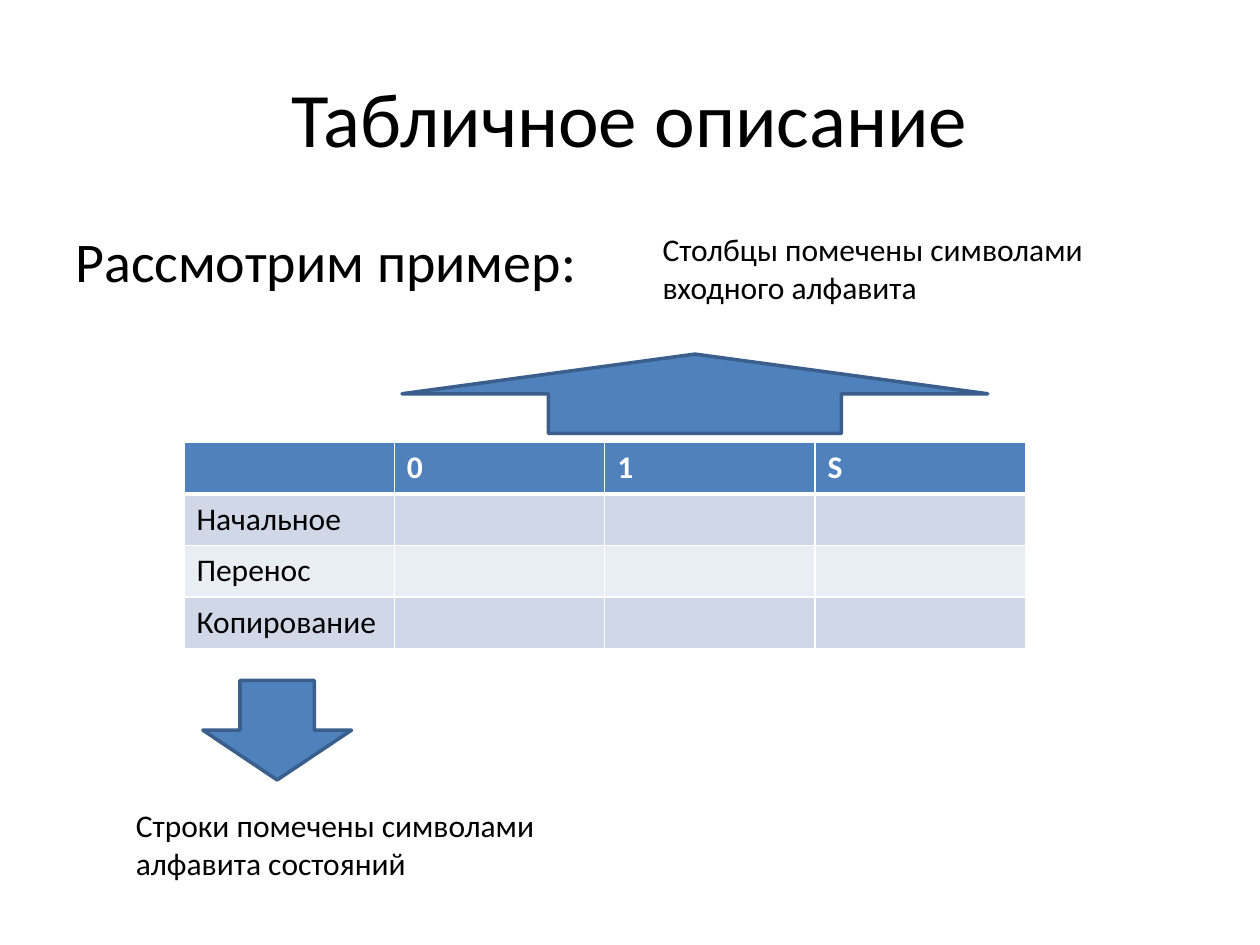
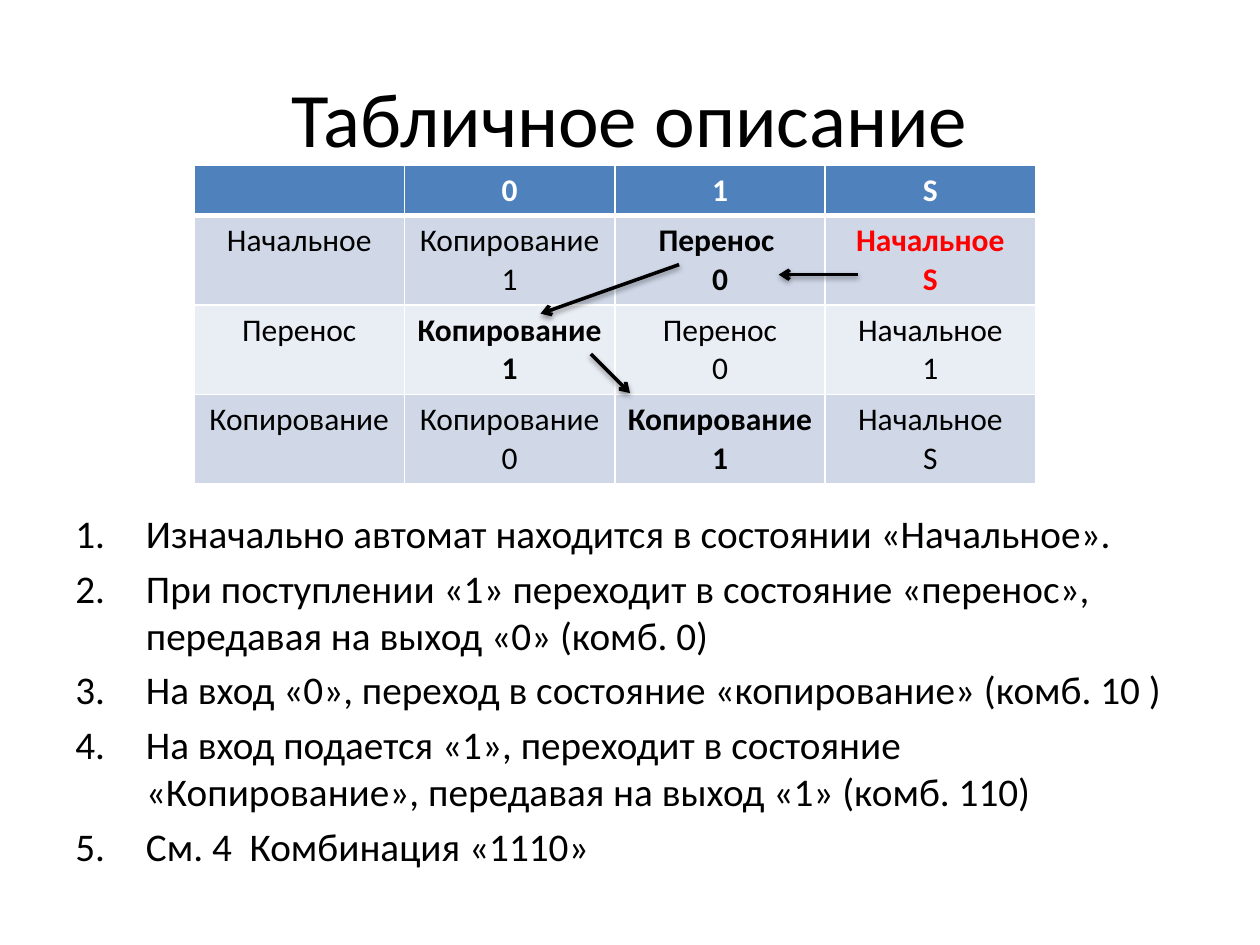
from dataclasses import dataclass

from lxml import etree
from pptx import Presentation
from pptx.dml.color import RGBColor
from pptx.enum.shapes import MSO_CONNECTOR, MSO_SHAPE
from pptx.enum.text import MSO_ANCHOR, MSO_AUTO_SIZE, PP_ALIGN
from pptx.oxml.ns import qn
from pptx.util import Inches, Pt

LEFT, CENTER = PP_ALIGN.LEFT, PP_ALIGN.CENTER
MIDDLE = MSO_ANCHOR.MIDDLE
FIT_SHAPE = MSO_AUTO_SIZE.SHAPE_TO_FIT_TEXT
DOWN_ARROW = MSO_SHAPE.DOWN_ARROW
STRAIGHT = MSO_CONNECTOR.STRAIGHT
TITLE_ONLY = 5


@dataclass(frozen=True)
class Theme:
    font: str = "Calibri"
    text: str = "000000"
    inverse: str = "FFFFFF"
    background: str = "FFFFFF"
    accent: str = "4F81BD"
    accent_line: str = "3A5F8C"
    bands: tuple = ("D0D8E8", "E9EDF4")
    border: str = "FFFFFF"
    highlight: str = "FF0000"
    title_size: float = 44
    body_size: float = 32
    list_size: float = 22.4
    small_size: float = 18
    border_width: float = 1
    header_border_width: float = 3
    line_width: float = 2


def color(value):
    return RGBColor.from_string(value)


def add_child(parent, tag, **attributes):
    child = etree.SubElement(parent, qn(tag))
    for name, value in attributes.items():
        child.set(name, str(value))
    return child


class Deck:
    def __init__(self, theme):
        self.theme = theme
        self.presentation = Presentation()
        self.presentation.slide_width = Inches(10)
        self.presentation.slide_height = Inches(7.5)
        self.slide = None

    def add_slide(self, title):
        layout = self.presentation.slide_layouts[TITLE_ONLY]
        self.slide = self.presentation.slides.add_slide(layout)
        fill = self.slide.background.fill
        fill.solid()
        fill.fore_color.rgb = color(self.theme.background)
        shape = self.slide.shapes.title
        shape.left, shape.top = Inches(0.5), Inches(0.3)
        shape.width, shape.height = Inches(9), Inches(1.25)
        shape.text_frame.vertical_anchor = MIDDLE
        self.fill_text(shape.text_frame, [title], self.theme.title_size, align=CENTER)

    def fill_text(self, frame, lines, size, text_color=None, bold=False, align=LEFT):
        for index, line in enumerate(lines):
            paragraph = frame.paragraphs[0] if index == 0 else frame.add_paragraph()
            paragraph.alignment = align
            run = paragraph.add_run()
            run.text = line
            run.font.name = self.theme.font
            run.font.size = Pt(size)
            run.font.bold = bold
            run.font.color.rgb = color(text_color or self.theme.text)

    def add_text(self, left, top, width, height, lines, size):
        shape = self.slide.shapes.add_textbox(
            Inches(left), Inches(top), Inches(width), Inches(height))
        shape.text_frame.word_wrap = True
        self.fill_text(shape.text_frame, lines, size)
        return shape.text_frame

    def add_caption(self, left, top, width, text):
        frame = self.add_text(left, top, width, 0.71, [text], self.theme.small_size)
        frame.auto_size = FIT_SHAPE

    def add_body(self, top, height, lines, size, indent, numbered=False):
        frame = self.add_text(0.5, top, 9, height, lines, size)
        for paragraph in frame.paragraphs:
            paragraph.space_before = Pt(size * 0.2)
            properties = paragraph._p.get_or_add_pPr()
            properties.set("marL", str(Inches(indent)))
            properties.set("indent", str(-Inches(indent)))
            if numbered:
                add_child(properties, "a:buFont", typeface="+mj-lt")
                add_child(properties, "a:buAutoNum", type="arabicPeriod")

    def add_block_arrow(self, left, top, width, height, rotation=0):
        shape = self.slide.shapes.add_shape(
            DOWN_ARROW, Inches(left), Inches(top), Inches(width), Inches(height))
        shape.rotation = rotation
        shape.shadow.inherit = False
        shape.fill.solid()
        shape.fill.fore_color.rgb = color(self.theme.accent)
        shape.line.color.rgb = color(self.theme.accent_line)
        shape.line.width = Pt(self.theme.line_width)

    def add_table(self, left, top, column_width, row_heights, rows, align=LEFT, emphasis=None):
        emphasis = emphasis or {}
        columns = len(rows[0])
        table = self.slide.shapes.add_table(
            len(rows), columns, Inches(left), Inches(top),
            Inches(column_width * columns), Inches(sum(row_heights))).table
        for column in table.columns:
            column.width = Inches(column_width)
        for row_index, (row, height) in enumerate(zip(rows, row_heights)):
            table.rows[row_index].height = Inches(height)
            for column_index, text in enumerate(row):
                cell = table.cell(row_index, column_index)
                self.style_cell(cell, row_index)
                if text:
                    header = row_index == 0
                    marked = emphasis.get((row_index, column_index))
                    text_color = self.theme.inverse if header else marked
                    self.fill_text(cell.text_frame, text.split("\n"), self.theme.small_size,
                                   text_color, header or marked is not None, align)

    def style_cell(self, cell, row_index):
        theme = self.theme
        cell.fill.solid()
        fill = theme.accent if row_index == 0 else theme.bands[(row_index - 1) % 2]
        cell.fill.fore_color.rgb = color(fill)
        widths = dict.fromkeys("LRTB", theme.border_width)
        if row_index < 2:
            widths["B" if row_index == 0 else "T"] = theme.header_border_width
        properties = cell._tc.get_or_add_tcPr()
        for position, (side, width) in enumerate(widths.items()):
            line = add_child(properties, f"a:ln{side}", w=Pt(width))
            solid = add_child(line, "a:solidFill")
            add_child(solid, "a:srgbClr", val=theme.border)
            properties.insert(position, line)

    def add_arrow(self, start, end):
        connector = self.slide.shapes.add_connector(
            STRAIGHT, *(Inches(value) for value in (*start, *end)))
        connector.line.color.rgb = color(self.theme.text)
        connector.line.width = Pt(self.theme.line_width)
        add_child(connector.line._get_or_add_ln(), "a:tailEnd", type="arrow")
        effects = add_child(connector._element.spPr, "a:effectLst")
        shadow = add_child(effects, "a:outerShdw", blurRad=Pt(3.1), dist=Pt(1.6),
                           dir=90 * 60000, rotWithShape=0)
        shade = add_child(shadow, "a:srgbClr", val=self.theme.text)
        add_child(shade, "a:alpha", val=38000)


def main():
    theme = Theme()
    deck = Deck(theme)
    title = "Табличное описание"
    header = ["", "0", "1", "S"]
    states = ["Начальное", "Перенос", "Копирование"]

    deck.add_slide(title)
    deck.add_body(1.75, 4.95, ["Рассмотрим пример:"], theme.body_size, 0.38)
    empty_rows = [[state, "", "", ""] for state in states]
    deck.add_table(1.46, 3.51, 1.67, [0.41] * 4, [header, *empty_rows])
    deck.add_block_arrow(1.61, 5.4, 1.18, 0.79)
    deck.add_block_arrow(3.19, 2.81, 4.65, 0.63, rotation=180)
    deck.add_caption(0.98, 6.35, 3.54, "Строки помечены символами алфавита состояний")
    deck.add_caption(5.16, 1.78, 4.02, "Столбцы помечены символами входного алфавита")

    deck.add_slide(title)
    deck.add_body(3.99, 2.71, [
        "Изначально автомат находится в состоянии «Начальное».",
        "При поступлении «1» переходит в состояние «перенос», передавая на выход «0» (комб. 0)",
        "На вход «0», переход в состояние «копирование» (комб. 10 )",
        "На вход подается «1», переходит в состояние «Копирование», передавая на выход «1» (комб. 110)",
        "См. 4  Комбинация «1110»",
    ], theme.list_size, 0.56, numbered=True)
    transitions = [
        ["Копирование\n1", "Перенос \n0", "Начальное\nS"],
        ["Копирование\n1", "Перенос\n0", "Начальное\n1"],
        ["Копирование\n0", "Копирование\n1", "Начальное\nS"],
    ]
    filled_rows = [[state, *cells] for state, cells in zip(states, transitions)]
    visited_cells = {(1, 2): theme.text, (1, 3): theme.highlight,
                     (2, 1): theme.text, (3, 2): theme.text}
    deck.add_table(1.54, 1.31, 1.67, [0.4] + [0.71] * 3, [header, *filled_rows],
                   CENTER, visited_cells)
    for start, end in [((6.81, 2.18), (6.18, 2.18)),
                       ((5.39, 2.1), (4.29, 2.49)),
                       ((4.69, 2.81), (5, 3.12))]:
        deck.add_arrow(start, end)

    deck.presentation.save("out.pptx")


if __name__ == "__main__":
    main()
